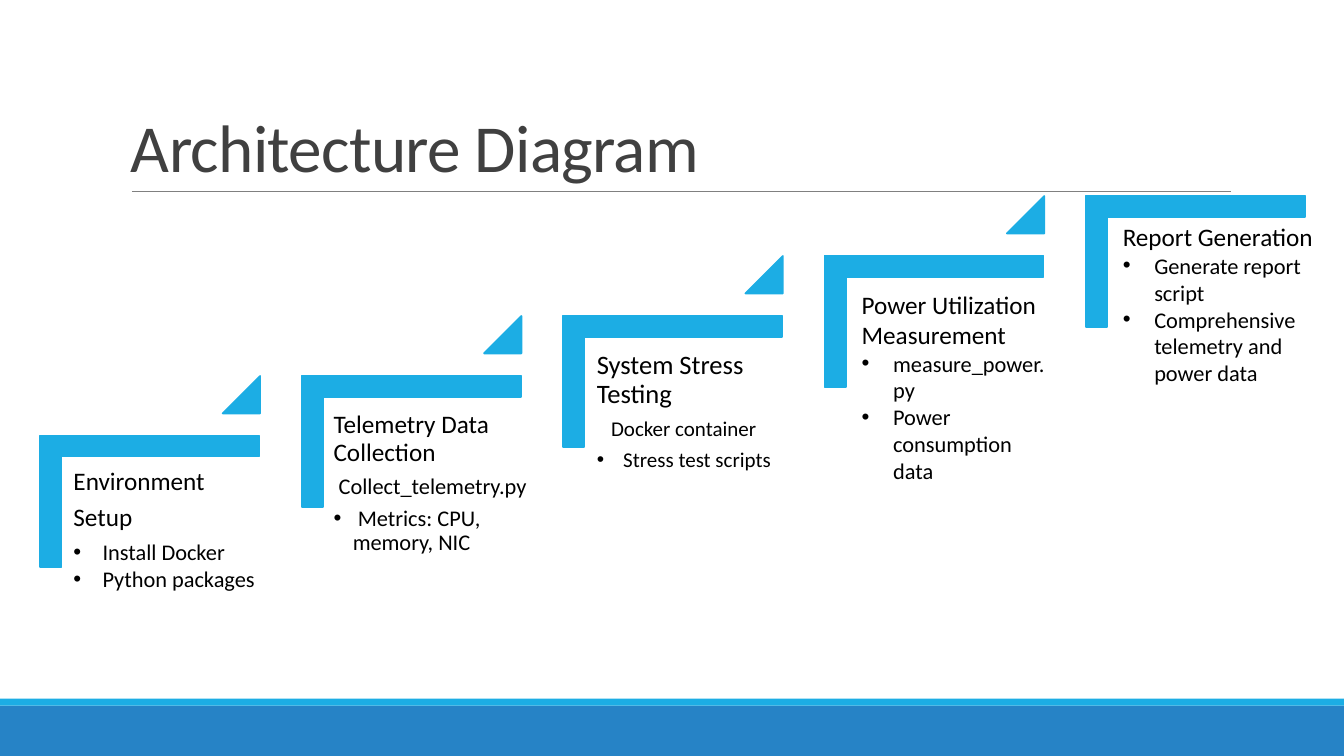
"""Build the Architecture Diagram slide: five steps that rise to the right."""
from lxml.etree import SubElement as Sub
from pptx import Presentation
from pptx.dml.color import RGBColor as RGB
from pptx.enum.shapes import MSO_CONNECTOR as LINE, MSO_SHAPE as SHAPE
from pptx.enum.text import MSO_ANCHOR as ANCHOR
from pptx.oxml.ns import qn
from pptx.util import Pt

SKY = "1CADE4"


def paint(part, tint):
    part.solid()
    part.fore_color.rgb = RGB.from_string(tint)


def draw(kind, left, top, wide, high, tint, edge=0):
    form = slide.shapes.add_shape(kind, Pt(left), Pt(top), Pt(wide), Pt(high))
    form.shadow.inherit = False
    paint(form.fill, tint)
    if edge:
        paint(form.line.fill, tint)
        form.line.width = Pt(edge)
    else:
        form.line.fill.background()
    return form


deck = Presentation()
deck.slide_width, deck.slide_height = Pt(960), Pt(540)
slide = deck.slides.add_slide(deck.slide_layouts[6])

draw(SHAPE.RECTANGLE, 0, 504, 960, 36, "2683C6")
draw(SHAPE.RECTANGLE, 0, 499, 960, 5, SKY)
rule = slide.shapes.add_connector(LINE.STRAIGHT, Pt(94.3), Pt(136.8), Pt(879), Pt(136.8))
paint(rule.line.fill, "808080")
rule.line.width = Pt(0.5)
Sub(rule._element.spPr, qn("a:effectLst"))

title = slide.shapes.add_textbox(Pt(86.4), Pt(22.3), Pt(792), Pt(114.5))
frame = title.text_frame
frame.word_wrap = True
frame.vertical_anchor = ANCHOR.BOTTOM
frame.paragraphs[0].line_spacing = 0.85
run = frame.paragraphs[0].add_run()
run.text = "Architecture Diagram"
run.font.name, run.font.size = "Calibri", Pt(48)
paint(run.font.fill, "404040")
run._r.get_or_add_rPr().set("spc", "-50")

for step in range(5):
    over, up = 186.7 * step, 42.85 * step
    angle = draw(SHAPE.CORNER, 59.9 + over, 279.9 - up, 94.2, 156.4, SKY, 1.25)
    angle.rotation = 90
    angle.adjustments[0] = angle.adjustments[1] = 0.161
    if step < 4:
        wedge = draw(SHAPE.ISOSCELES_TRIANGLE, 159.1 + over, 268.6 - up, 26.7, 26.7, SKY, 1.25)
        wedge.adjustments[0] = 1

blocks = [
    ((47.5, 329.8, 168.5, 123.8), (5, 5), 0.9, [
        ("Environment", 18, 6.3, 0, 0),
        ("Setup", 18, 6.3, 0, 0),
        ("Install Docker", 16, 2.4, 20.8, 20.8),
        ("Python packages", 16, 2.4, 20.8, 20.8)]),
    ((233.3, 289.4, 169.2, 123.8), (5, 5), 0.9, [
        ("Telemetry Data Collection", 18, 6.3, 0, 0),
        ("Collect_telemetry.py", 16, 5.6, 3.6, 0),
        (" Metrics: CPU, memory, NIC", 16, 2.4, 13.7, 13.7)]),
    ((420.5, 245.5, 141.1, 123.8), (5.8, 5.8), 0.9, [
        ("System Stress Testing", 19, 6.7, 0, 0),
        ("Docker container", 15, 5.6, 10.2, 0),
        ("Stress test scripts", 15, 2.4, 18.9, 18.9)]),
    ((608.4, 203, 152.6, 147.6), (7.2, 3.6), 1, [
        ("Power Utilization Measurement", 18, 0, 0, 0),
        ("measure_power.py", 16, 0, 22.5, 22.5),
        ("Power consumption data", 16, 0, 22.5, 22.5)]),
    ((794.9, 154.8, 152.6, 126), (7.2, 3.6), 1, [
        ("Report Generation", 18, 0, 0, 0),
        ("Generate report script", 16, 0, 22.5, 22.5),
        ("Comprehensive telemetry and power data", 16, 0, 22.5, 22.5)]),
]

for place, (side, edge), pitch, lines in blocks:
    frame = slide.shapes.add_textbox(*map(Pt, place)).text_frame
    frame.word_wrap = True
    frame.margin_left = frame.margin_right = Pt(side)
    frame.margin_top = frame.margin_bottom = Pt(edge)
    for rank, (text, size, after, left, hang) in enumerate(lines):
        para = frame.add_paragraph() if rank else frame.paragraphs[0]
        para.line_spacing, para.space_after = pitch, Pt(after)
        props = para._p.get_or_add_pPr()
        props.set("marL", str(Pt(left)))
        props.set("indent", str(-Pt(hang)))
        if hang:
            Sub(props, qn("a:buFont"), typeface="Arial")
            Sub(props, qn("a:buChar"), char="•")
        run = para.add_run()
        run.text = text
        run.font.name, run.font.size = "Calibri", Pt(size)
        paint(run.font.fill, "000000")

deck.save("out.pptx")
